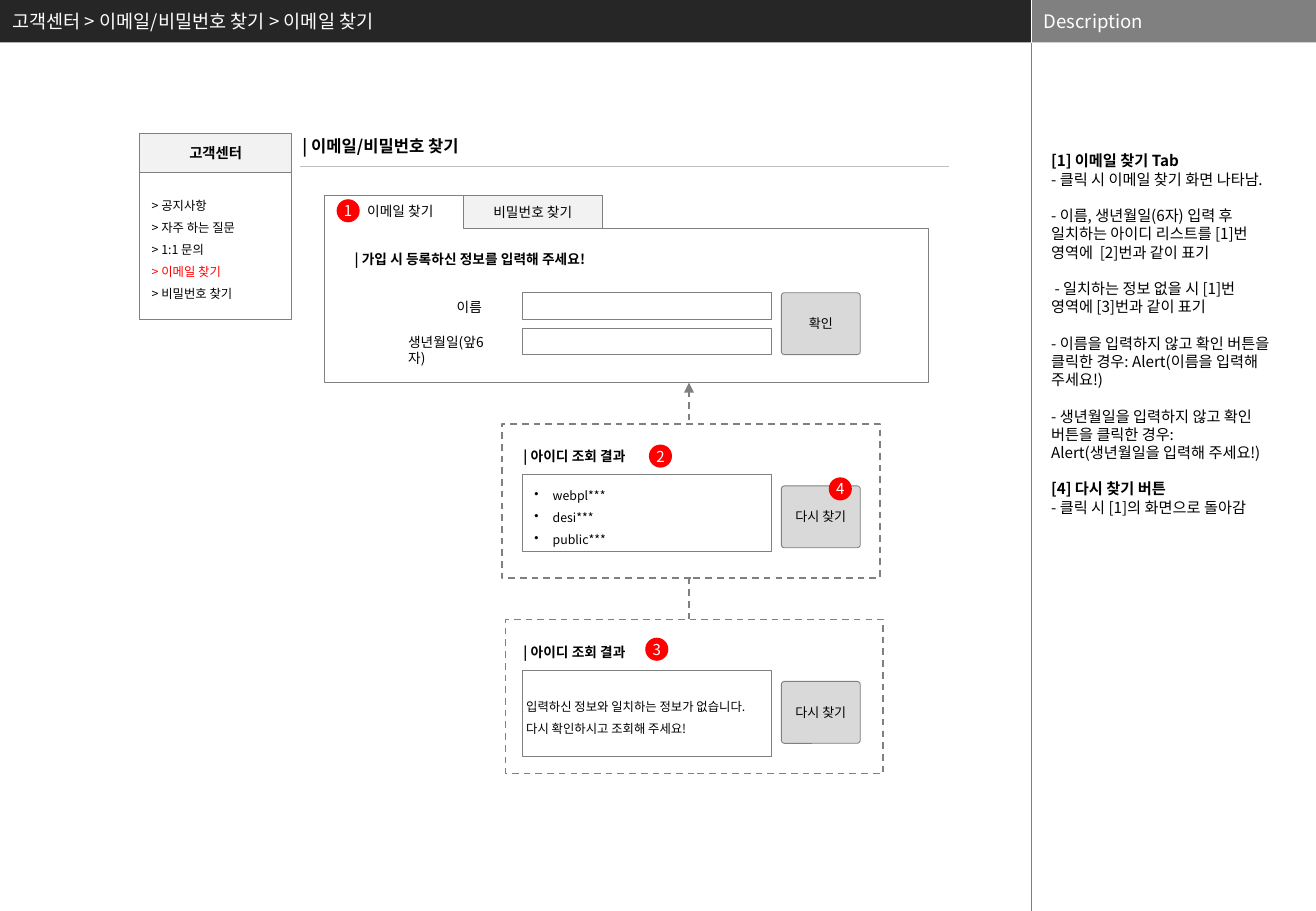
from lxml import etree
from pptx import Presentation
from pptx.dml.color import RGBColor
from pptx.enum import dml, shapes, text
from pptx.oxml import ns
from pptx.util import Inches, Pt

FONT = "Noto Sans CJK KR"
BLACK, WHITE, RED, GRAY, PALE = "000000", "FFFFFF", "FF0000", "808080", "F2F2F2"
WIDTH, HEIGHT = 10.83, 7.5
MAIN_WIDTH, BAR_HEIGHT = 8.49, 0.35

BREADCRUMB = "고객센터 > 이메일/비밀번호 찾기 > 이메일 찾기"
MENU = ["> 공지사항", "> 자주 하는 질문", "> 1:1 문의", "> 이메일 찾기", "> 비밀번호 찾기"]
CURRENT_MENU = "> 이메일 찾기"
FIELDS = [("이름", 3.66, 0.43), ("생년월일(앞6\v자)", 3.26, 1.02)]  # label, left, width
DESCRIPTION = [  # groups of paragraphs, set apart by a gap
    ["[1] 이메일 찾기 Tab", "- 클릭 시 이메일 찾기 화면 나타남."],
    ["- 이름, 생년월일(6자) 입력 후 일치하는 아이디 리스트를 [1]번 영역에  [2]번과 같이 표기"],
    [" - 일치하는 정보 없을 시 [1]번 영역에 [3]번과 같이 표기"],
    ["- 이름을 입력하지 않고 확인 버튼을 클릭한 경우: Alert(이름을 입력해 주세요!)"],
    ["- 생년월일을 입력하지 않고 확인 버튼을 클릭한 경우: Alert(생년월일을 입력해 주세요!)"],
    ["[4] 다시 찾기 버튼", "- 클릭 시 [1]의 화면으로 돌아감"],
]
RESULTS = [
    dict(left=4.13, top=3.49, box_height=0.63, badge=("2", 5.34, 3.66),
         lines=["webpl***", "desi***", "public***"],
         format=dict(bullet="•", anchor="TOP")),
    dict(left=4.16, top=5.1, box_height=0.71, badge=("3", 5.31, 5.25),
         lines=["입력하신 정보와 일치하는 정보가 없습니다.", "다시 확인하시고 조회해 주세요!"],
         format=dict(inset=(0.03, 0.03))),
]
INPUT_LEFT, INPUT_WIDTH = 4.3, 2.05
BUTTON_LEFT, BUTTON_SIZE = 6.43, (0.65, 0.51)
BADGE_SIZE = 0.19


def color(value):
    return RGBColor.from_string(value)


def add_bullet(paragraph, character):
    properties = paragraph._p.get_or_add_pPr()
    if character:
        properties.set("marL", str(Inches(0.15)))
        properties.set("indent", str(-Inches(0.15)))
        etree.SubElement(properties, ns.qn("a:buChar")).set("char", character)
    else:
        properties.set("marL", "0")
        properties.set("indent", "0")
        etree.SubElement(properties, ns.qn("a:buNone"))


def write(shape, lines, size, ink=BLACK, bold=False, align="LEFT", anchor="MIDDLE",
          spacing=1, inset=(0.1, 0.05), bullet=None):
    """Fill a shape with one paragraph per line; inset is (sides, top and bottom)."""
    frame = shape.text_frame
    sides, ends = (Inches(value) for value in inset)
    frame_format = dict(word_wrap=True, auto_size=text.MSO_AUTO_SIZE.NONE,
                        vertical_anchor=getattr(text.MSO_ANCHOR, anchor),
                        margin_left=sides, margin_right=sides,
                        margin_top=ends, margin_bottom=ends)
    for name, value in frame_format.items():
        setattr(frame, name, value)
    for index, line in enumerate(lines):
        paragraph = frame.paragraphs[0] if index == 0 else frame.add_paragraph()
        add_bullet(paragraph, bullet)
        paragraph.text = line
        paragraph.alignment = getattr(text.PP_ALIGN, align)
        paragraph.space_before = Pt(0)
        paragraph.line_spacing = Pt(round(size * 1.2 * spacing, 1))
        for run in paragraph.runs:
            run.font.size, run.font.bold = Pt(size), bold
            run.font.color.rgb = color(ink)
            run.font.name = FONT
            latin = run._r.rPr.find(ns.qn("a:latin"))
            latin.addnext(latin.makeelement(ns.qn("a:ea"), {"typeface": FONT}))
    return frame.paragraphs


def place(shape, left, top, width, height):
    shape.left, shape.top = Inches(left), Inches(top)
    shape.width, shape.height = Inches(width), Inches(height)


def add_box(left, top, width, height, fill=None, line=GRAY, weight=0.5, dashed=False,
            kind="RECTANGLE", adjustments=()):
    shape = slide.shapes.add_shape(getattr(shapes.MSO_SHAPE, kind), Inches(left),
                                   Inches(top), Inches(width), Inches(height))
    shape.shadow.inherit = False
    for index, value in enumerate(adjustments):
        shape.adjustments[index] = value
    if fill:
        shape.fill.solid()
        shape.fill.fore_color.rgb = color(fill)
    else:
        shape.fill.background()
    if line:
        shape.line.color.rgb, shape.line.width = color(line), Pt(weight)
        if dashed:
            shape.line.dash_style = dml.MSO_LINE.DASH
    else:
        shape.line.fill.background()
    return shape


def add_line(start, end, ink, weight):
    line = slide.shapes.add_connector(shapes.MSO_CONNECTOR.STRAIGHT,
                                      *(Inches(value) for value in start + end))
    line.line.color.rgb, line.line.width = color(ink), Pt(weight)
    etree.SubElement(line._element.spPr, ns.qn("a:effectLst"))
    return line


def add_label(label, left, top, width, height=0.24, **text_format):
    box = slide.shapes.add_textbox(Inches(left), Inches(top), Inches(width), Inches(height))
    write(box, [label], **{"size": 8.1, "anchor": "TOP", **text_format})


def add_button(label, top):
    button = add_box(BUTTON_LEFT, top, *BUTTON_SIZE, fill="D9D9D9",
                     kind="ROUNDED_RECTANGLE", adjustments=[0.052])
    write(button, [label], 7.7, align="CENTER", inset=(0.04, 0.04))


def add_badge(number, left, top):
    badge = add_box(left, top, BADGE_SIZE, BADGE_SIZE, fill=RED, line=None, kind="OVAL")
    write(badge, [number], 8.9, WHITE, align="CENTER", inset=(0, 0))


presentation = Presentation()
presentation.slide_width, presentation.slide_height = Inches(WIDTH), Inches(HEIGHT)
slide = presentation.slides.add_slide(presentation.slide_layouts[1])
title, body = slide.placeholders

# Header bars and description column
place(title, 0, 0, MAIN_WIDTH, BAR_HEIGHT)
title.fill.solid()
title.fill.fore_color.rgb = color("262626")
write(title, [BREADCRUMB], 11, WHITE)
side_bar = add_box(MAIN_WIDTH, 0, WIDTH - MAIN_WIDTH, BAR_HEIGHT, fill=GRAY, line=None)
write(side_bar, ["Description"], 11, WHITE)
add_line((MAIN_WIDTH, 0), (MAIN_WIDTH, BAR_HEIGHT), WHITE, 0.25)
add_line((MAIN_WIDTH, BAR_HEIGHT), (MAIN_WIDTH, HEIGHT), "7F7F7F", 0.25)

place(body, 8.62, 1.25, 1.9, 5.66)
paragraphs = iter(write(body, [line for group in DESCRIPTION for line in group], 9,
                        anchor="TOP", inset=(0.03, 0)))
for group_index, group in enumerate(DESCRIPTION):
    for line_index, line in enumerate(group):
        paragraph = next(paragraphs)
        if group_index and line_index == 0:
            paragraph.space_before = Pt(10.8)
        paragraph.runs[0].font.bold = line.startswith("[")

# Side menu
menu_head = add_box(1.15, 1.1, 1.25, 0.32, fill=PALE)
write(menu_head, ["고객센터"], 8.5, bold=True, align="CENTER")
menu = add_box(1.15, 1.42, 1.25, 1.21)
for paragraph in write(menu, MENU, 7.3, spacing=1.5):
    if paragraph.text == CURRENT_MENU:
        paragraph.runs[0].font.color.rgb = color(RED)

# Search form
add_label("| 이메일/비밀번호 찾기", 2.39, 1.07, 2.24, 0.27, size=9.8, bold=True)
add_line((2.47, 1.37), (7.81, 1.37), "BFBFBF", 0.75)
other_tab = add_box(3.81, 1.61, 1.15, 0.27, fill=PALE)
write(other_tab, ["비밀번호 찾기"], 8.1, align="CENTER")
add_box(2.67, 1.61, 4.97, 1.54, fill=WHITE, kind="CORNER", adjustments=[0.824, 0.745])
add_label("이메일 찾기", 2.73, 1.61, 1.13, 0.25, align="CENTER", anchor="MIDDLE")
add_badge("1", 2.77, 1.64)
add_label("| 가입 시 등록하신 정보를 입력해 주세요!", 2.82, 2.02, 2.34, bold=True)
for row, (label, left, width) in enumerate(FIELDS):
    top = 2.41 + row * 0.29
    add_box(INPUT_LEFT, top, INPUT_WIDTH, 0.22)
    add_label(label, left, top, width)
add_button("확인", 2.41)

# Search results, linked back to the form
arrow = add_line((5.67, 5.1), (5.67, 3.15), GRAY, 1)
arrow.line.dash_style = dml.MSO_LINE.DASH
etree.SubElement(arrow.line._get_or_add_ln(), ns.qn("a:tailEnd")).set("type", "triangle")
for result in RESULTS:
    top = result["top"]
    add_box(result["left"], top, 3.11, 1.27, fill=WHITE, weight=1, dashed=True)
    add_label("| 아이디 조회 결과", 4.21, top + 0.15, 1.16, bold=True)
    box = add_box(INPUT_LEFT, top + 0.42, INPUT_WIDTH, result["box_height"], fill=WHITE)
    write(box, result["lines"], 7.3, spacing=1.5, **result["format"])
    add_button("다시 찾기", top + 0.51)
    add_badge(*result["badge"])
add_badge("4", 6.82, 3.93)

presentation.save("out.pptx")
